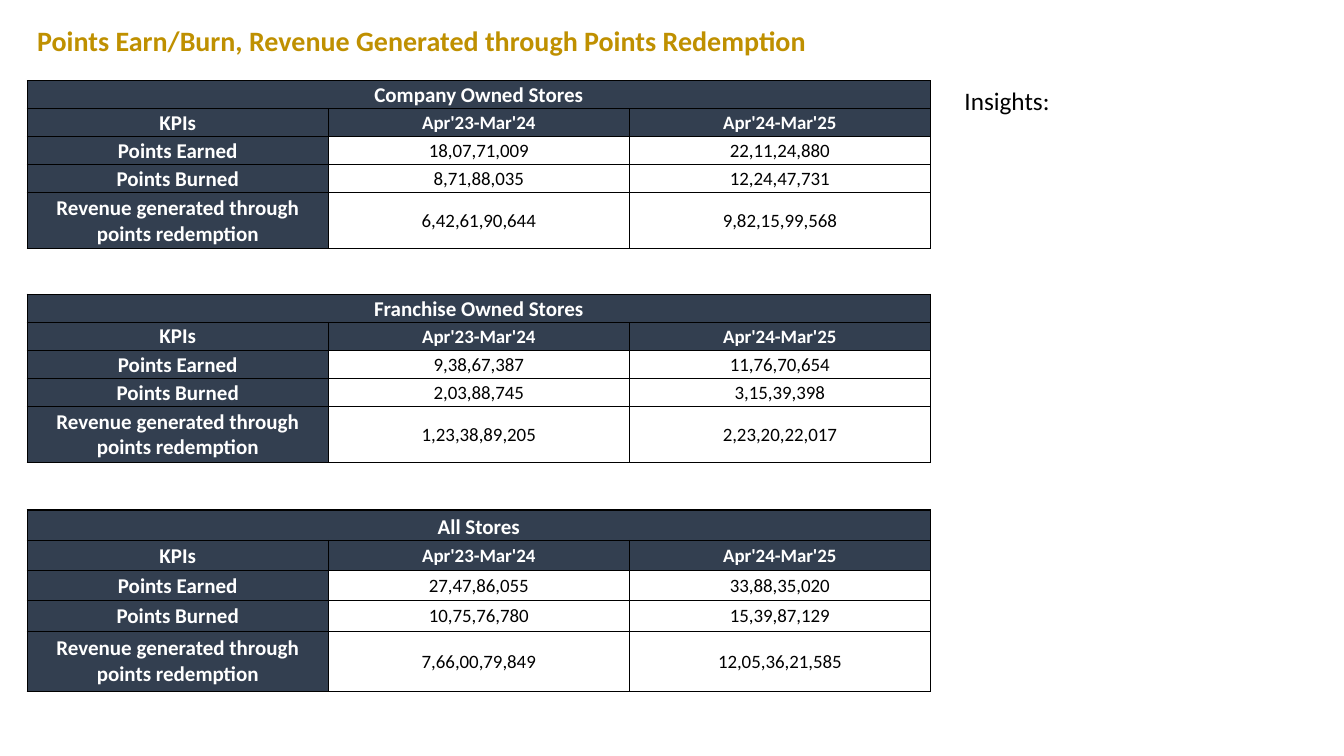
from lxml.etree import SubElement as Sub
from pptx import Presentation
from pptx.dml.color import RGBColor
from pptx.enum.text import MSO_ANCHOR as Anchor, PP_ALIGN as Align
from pptx.oxml.ns import qn
from pptx.util import Pt

TITLE = "Points Earn/Burn, Revenue Generated through Points Redemption"
NOTE = "Insights:"
YEARS = ("Apr'23-Mar'24", "Apr'24-Mar'25")
KPIS = ("Points Earned", "Points Burned", "Revenue generated through points redemption")
STORES = [
    ("Company Owned Stores", 57.6, 20.04,
     [("18,07,71,009", "22,11,24,880"), ("8,71,88,035", "12,24,47,731"),
      ("6,42,61,90,644", "9,82,15,99,568")]),
    ("Franchise Owned Stores", 210.24, 20.04,
     [("9,38,67,387", "11,76,70,654"), ("2,03,88,745", "3,15,39,398"),
      ("1,23,38,89,205", "2,23,20,22,017")]),
    ("All Stores", 364.32, 21.6,
     [("27,47,86,055", "33,88,35,020"), ("10,75,76,780", "15,39,87,129"),
      ("7,66,00,79,849", "12,05,36,21,585")]),
]

GOLD = RGBColor(0xBF, 0x90, 0x00)
NAVY = RGBColor(0x33, 0x3F, 0x50)
WHITE = RGBColor(0xFF, 0xFF, 0xFF)
BLACK = RGBColor(0, 0, 0)
LEFT, WIDTH = 19.44, 645.12


def write(frame, text, size=18, color=BLACK, bold=False, align=None):
    frame.word_wrap = True
    para = frame.paragraphs[0]
    para.alignment = align
    run = para.add_run()
    run.text = text
    font = run.font
    font.name, font.size, font.bold = "Calibri", Pt(size), bold
    font.color.rgb = color


def edge(cell, sides):
    props = cell._tc.get_or_add_tcPr()
    for side, wide in zip("LRTB", sides):
        line = Sub(props, qn("a:ln" + side), w=str(Pt(wide)))
        fill = Sub(line, qn("a:solidFill"))
        Sub(fill, qn("a:srgbClr"), val=str(BLACK))


def draw_table(slide, name, top, unit, data):
    rows = [(name, "", ""), ("KPIs", *YEARS)]
    rows += [(kpi, *vals) for kpi, vals in zip(KPIS, data)]
    last = len(rows) - 1
    frame = slide.shapes.add_table(len(rows), 3, Pt(LEFT), Pt(top),
                                   Pt(WIDTH), Pt(unit * (last + 2)))
    table = frame.table
    table.first_row = table.horz_banding = False
    for col in table.columns:
        col.width = Pt(WIDTH / 3)
    for r, row in enumerate(rows):
        table.rows[r].height = Pt(unit * (2 if r == last else 1))
        for c, text in enumerate(row):
            cell = table.cell(r, c)
            head = r < 2 or c == 0
            ends = (c == 0 or r == 0, c == 2 or r == 0, r == 0, r == last)
            edge(cell, [1 if end else 0.5 for end in ends])
            cell.margin_left = cell.margin_right = cell.margin_top = Pt(0.7)
            cell.margin_bottom = 0
            cell.vertical_anchor = Anchor.MIDDLE if r else Anchor.BOTTOM
            if head:
                cell.fill.solid()
                cell.fill.fore_color.rgb = NAVY
            else:
                cell.fill.background()
            if text:
                write(cell.text_frame, text, size=15 if c == 0 else 13.5,
                      color=WHITE if head else BLACK, bold=head, align=Align.CENTER)
    table.cell(0, 0).merge(table.cell(0, 2))


def draw_text(slide, text, box, **style):
    shape = slide.shapes.add_textbox(*map(Pt, box))
    write(shape.text_frame, text, **style)


def main():
    deck = Presentation()
    deck.slide_width, deck.slide_height = Pt(960), Pt(540)
    slide = deck.slides.add_slide(deck.slide_layouts[6])
    for store in STORES:
        draw_table(slide, *store)
    draw_text(slide, NOTE, (681.84, 57.6, 245.52, 29))
    draw_text(slide, TITLE, (LEFT, 13, 733.68, 31.5), size=20, color=GOLD, bold=True)
    deck.save("out.pptx")


if __name__ == "__main__":
    main()
